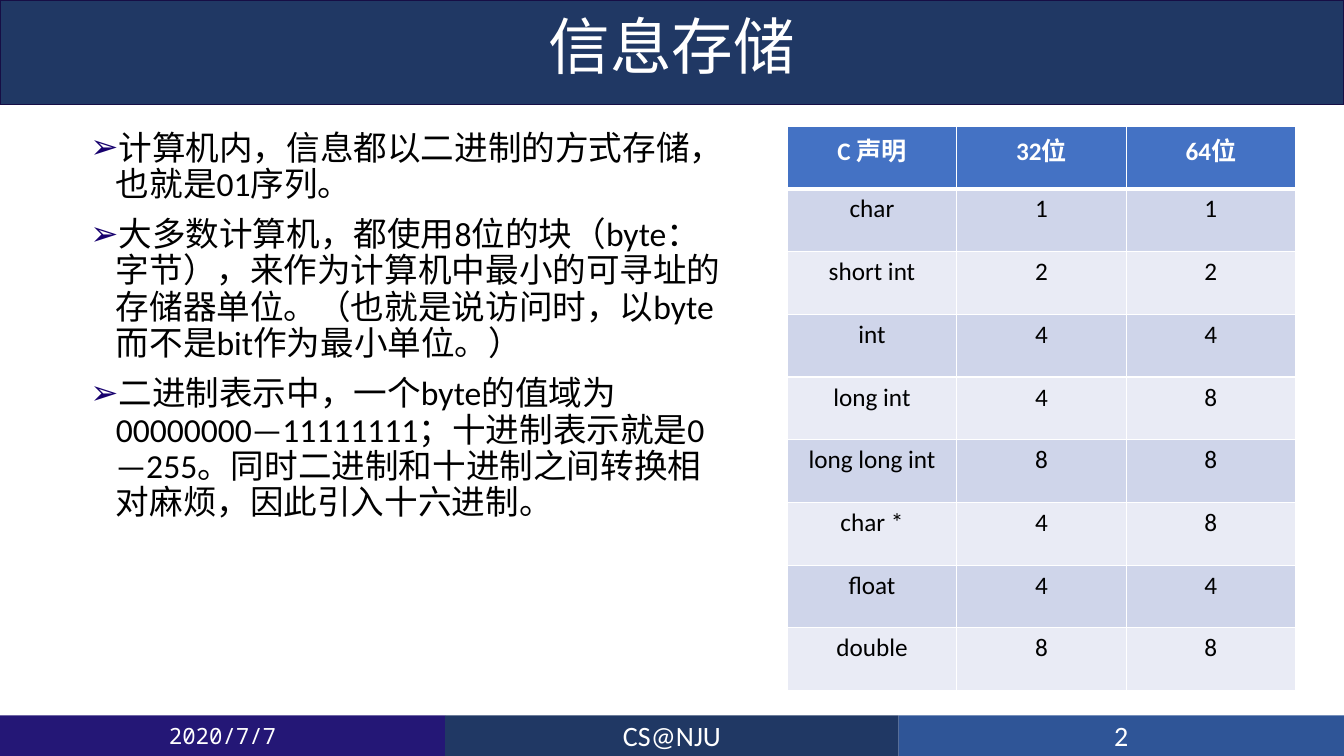
from lxml import etree
from pptx import Presentation
from pptx import util as u
from pptx.dml import color
from pptx.enum import shapes, text
from pptx.oxml import ns

COLORS = {
    "white": "FFFFFF",
    "black": "000000",
    "navy": "203864",
    "navy_line": "160E45",
    "bullet": "17006E",
    "date": "241776",
    "page": "2F5597",
    "header": "4472C4",
    "odd_row": "CFD5EA",
    "even_row": "E9EBF5",
}
SLIDE_WIDTH, SLIDE_HEIGHT = 33.87, 19.05
FOOTER_TOP, FOOTER_HEIGHT = 18.03, 1.02

POINTS = [
    "计算机内，信息都以二进制的方式存储，也就是01序列。",
    "大多数计算机，都使用8位的块（byte：字节），来作为计算机中最小的可寻址的存储器单位。"
    "（也就是说访问时，以byte而不是bit作为最小单位。）",
    "二进制表示中，一个byte的值域为 00000000—11111111；十进制表示就是0—255。"
    "同时二进制和十进制之间转换相对麻烦，因此引入十六进制。",
]
TYPE_SIZES = [
    ("C 声明", "32位", "64位"),
    ("char", "1", "1"),
    ("short int", "2", "2"),
    ("int", "4", "4"),
    ("long int", "4", "8"),
    ("long long int", "8", "8"),
    ("char *", "4", "8"),
    ("float", "4", "4"),
    ("double", "8", "8"),
]
FOOTER = [
    ("2020/7/7", 11.22, "date", 16, "Noto Sans Mono"),
    ("CS@NJU", 11.43, "navy", 20, "Calibri"),
    ("2", 11.22, "page", 20, "Calibri"),
]


def rgb(name):
    return color.RGBColor.from_string(COLORS[name])


def add_xml(parent, tag, **attributes):
    return etree.SubElement(parent, ns.qn(tag), attributes)


def format_paragraph(paragraph, size, color_name, font="Calibri", bold=False,
                     align=text.PP_ALIGN.CENTER):
    paragraph.alignment = align
    for run in paragraph.runs:
        run.font.size = u.Pt(size)
        run.font.name = font
        run.font.bold = bold
        run.font.color.rgb = rgb(color_name)


def add_bar(slide, left, top, width, height, fill, line=None):
    shape = slide.shapes.add_shape(
        shapes.MSO_SHAPE.RECTANGLE, u.Cm(left), u.Cm(top), u.Cm(width), u.Cm(height))
    shape.shadow.inherit = False
    shape.fill.solid()
    shape.fill.fore_color.rgb = rgb(fill)
    if line:
        shape.line.color.rgb = rgb(line)
        shape.line.width = u.Pt(1)
    else:
        shape.line.fill.background()
    return shape


def add_text_frame(slide, left, top, width, height):
    shape = slide.shapes.add_textbox(u.Cm(left), u.Cm(top), u.Cm(width), u.Cm(height))
    shape.text_frame.word_wrap = True
    return shape.text_frame


def add_title(slide, title):
    add_bar(slide, 0, 0, SLIDE_WIDTH, 2.64, "navy", "navy_line")
    text_frame = add_text_frame(slide, 2.43, 0.28, 29, 2.08)
    text_frame.text = title
    paragraph = text_frame.paragraphs[0]
    paragraph.line_spacing = 0.9
    format_paragraph(paragraph, 44, "white")


def add_bullet(paragraph):
    properties = paragraph._p.get_or_add_pPr()
    indent = u.Cm(0.64)
    properties.set("marL", str(indent))
    properties.set("indent", str(-indent))
    bullet_color = add_xml(properties, "a:buClr")
    add_xml(bullet_color, "a:srgbClr", val=COLORS["bullet"])
    add_xml(properties, "a:buFont", typeface="Wingdings 3")
    properties[-1].set("typeface", "Calibri")
    add_xml(properties, "a:buChar", char="➢")


def add_points(slide, points):
    text_frame = add_text_frame(slide, 2.03, 3.18, 16.64, 14.33)
    text_frame.text = "\n".join(points)
    for paragraph in text_frame.paragraphs:
        paragraph.line_spacing = 0.9
        paragraph.space_before = u.Pt(10)
        format_paragraph(paragraph, 24, "black", align=text.PP_ALIGN.LEFT)
        add_bullet(paragraph)


def set_borders(cell, bottom_width):
    properties = cell._tc.get_or_add_tcPr()
    widths = {"a:lnL": 1, "a:lnR": 1, "a:lnT": 1, "a:lnB": bottom_width}
    for tag, width in widths.items():
        line = add_xml(properties, tag, w=str(u.Pt(width)))
        fill = add_xml(line, "a:solidFill")
        add_xml(fill, "a:srgbClr", val=COLORS["white"])


def add_size_table(slide, rows):
    row_height, column_width = 1.58, 4.27
    column_count = len(rows[0])
    table = slide.shapes.add_table(
        len(rows), column_count, u.Cm(19.84), u.Cm(3.18),
        u.Cm(column_width * column_count), u.Cm(row_height * len(rows))).table
    for row_index, row in enumerate(rows):
        is_header = row_index == 0
        fill = "header" if is_header else ("even_row", "odd_row")[row_index % 2]
        for column_index, value in enumerate(row):
            cell = table.cell(row_index, column_index)
            cell.text_frame.text = value
            format_paragraph(cell.text_frame.paragraphs[0], 18,
                             "white" if is_header else "black", bold=is_header)
            set_borders(cell, 3 if is_header else 1)
            cell.fill.solid()
            cell.fill.fore_color.rgb = rgb(fill)


def add_footer(slide, parts):
    left = 0
    for label, width, fill, size, font in parts:
        shape = add_bar(slide, left, FOOTER_TOP, width, FOOTER_HEIGHT, fill)
        text_frame = shape.text_frame
        text_frame.text = label
        text_frame.vertical_anchor = text.MSO_ANCHOR.MIDDLE
        format_paragraph(text_frame.paragraphs[0], size, "white", font)
        left += width


def main():
    presentation = Presentation()
    presentation.slide_width = u.Cm(SLIDE_WIDTH)
    presentation.slide_height = u.Cm(SLIDE_HEIGHT)
    slide = presentation.slides.add_slide(presentation.slide_layouts[6])
    add_title(slide, "信息存储")
    add_points(slide, POINTS)
    add_footer(slide, FOOTER)
    add_size_table(slide, TYPE_SIZES)
    presentation.save("out.pptx")


if __name__ == "__main__":
    main()
